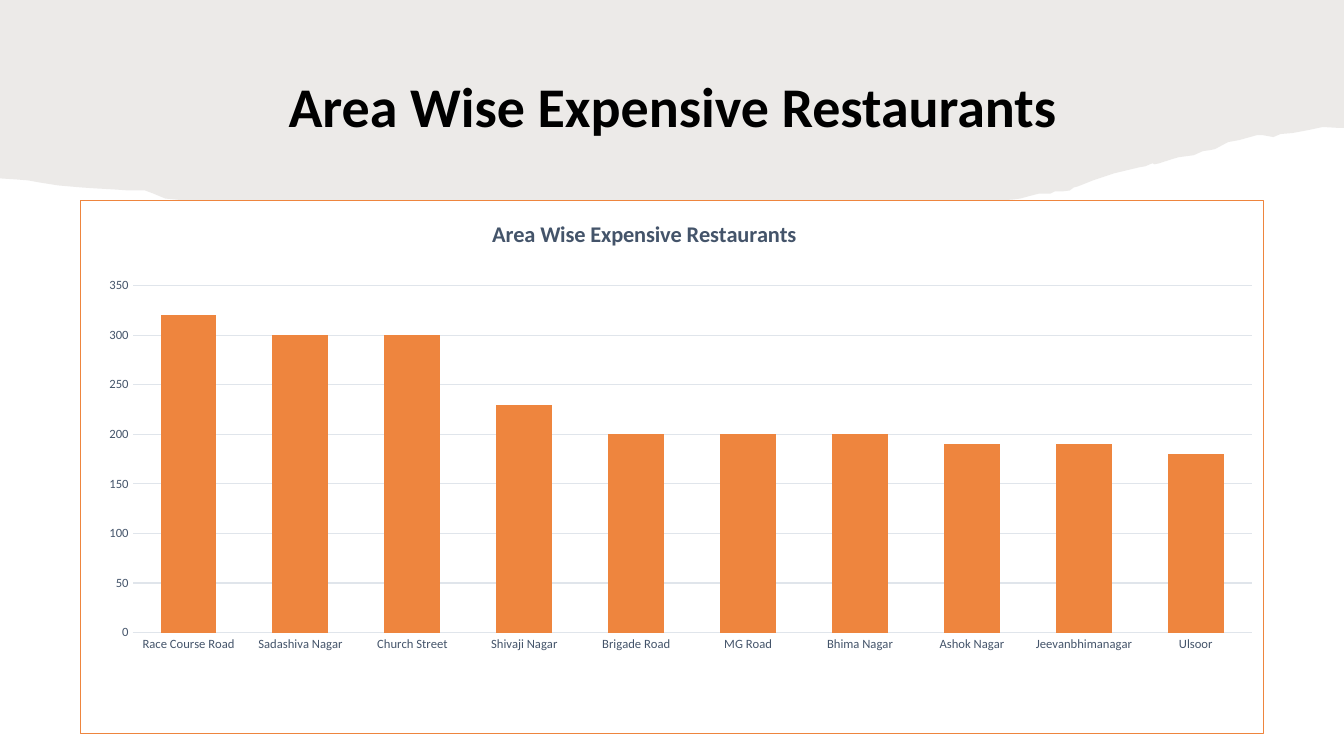
from pptx import Presentation
from pptx.chart.data import CategoryChartData
from pptx.dml.color import RGBColor
from pptx.enum.chart import XL_CHART_TYPE, XL_TICK_MARK
from pptx.enum.text import MSO_ANCHOR, MSO_AUTO_SIZE, PP_ALIGN
from pptx.oxml import parse_xml
from pptx.oxml.ns import nsdecls, qn
from pptx.util import Pt

PX = 9144  # 100 px to the inch
CHART_WIDTH, CHART_HEIGHT = 1175, 530
FONT = "Calibri"
HEADING = "Area Wise Expensive Restaurants"
COLORS = {
    "paper": "82766A",
    "title": "000000",
    "chart_text": "44546A",
    "grid": "E0E5EB",
    "bar": "EE853E",
    "white": "FFFFFF",
}
PAPER_OPACITY = 15

# Torn lower edge of the paper band, from right to left
TORN_EDGE = [
    (1333, 127), (1329, 127), (1312, 126), (1298, 129), (1282, 132), (1270, 133),
    (1263, 136), (1252, 134), (1247, 134), (1229, 139), (1218, 141), (1205, 148),
    (1200, 149), (1193, 150), (1184, 154), (1169, 156), (1162, 158), (1150, 162),
    (1145, 163), (1143, 162), (1136, 165), (1130, 166), (1105, 172), (1084, 179),
    (1069, 185), (1065, 186), (1061, 189), (1053, 190), (1046, 190), (1042, 192),
    (1031, 192), (1023, 194), (1012, 197), (1004, 198), (990, 199), (970, 201),
    (944, 203), (914, 204), (899, 206), (882, 210), (869, 210), (847, 214),
    (832, 216), (815, 214), (779, 214), (755, 215), (735, 219), (718, 220),
    (691, 223), (674, 224), (665, 228), (656, 226), (636, 227), (618, 224),
    (598, 221), (575, 223), (550, 222), (520, 221), (497, 220), (477, 217),
    (452, 214), (434, 211), (412, 209), (386, 206), (355, 203), (343, 205),
    (311, 209), (281, 212), (254, 212), (238, 211), (222, 208), (205, 206),
    (193, 203), (185, 199), (164, 197), (152, 192), (144, 189), (128, 189),
    (114, 188), (96, 187), (81, 186), (58, 184), (39, 181), (28, 179),
    (16, 178), (0, 177),
]

AREAS = {
    "Race Course Road": 320,
    "Sadashiva Nagar": 300,
    "Church Street": 300,
    "Shivaji Nagar": 230,
    "Brigade Road": 200,
    "MG Road": 200,
    "Bhima Nagar": 200,
    "Ashok Nagar": 190,
    "Jeevanbhimanagar": 190,
    "Ulsoor": 180,
}


def style_font(font, size, color, bold=False):
    font.name = FONT
    font.size = Pt(size)
    font.bold = bold
    font.color.rgb = RGBColor.from_string(COLORS[color])


def place_chart_part(part, index, **settings):
    """Give a chart part a manual layout, as its child at the given index."""
    for layout in part.findall(qn("c:layout")):
        part.remove(layout)
    entries = "".join(f'<c:{name} val="{value}"/>' for name, value in settings.items())
    part.insert(index, parse_xml(
        f'<c:layout {nsdecls("c")}><c:manualLayout>{entries}</c:manualLayout></c:layout>'))


presentation = Presentation()
presentation.slide_width = 1333 * PX
presentation.slide_height = 750 * PX
slide = presentation.slides.add_slide(presentation.slide_layouts[5])

# Paper band behind the title
builder = slide.shapes.build_freeform(0, 0, scale=PX)
builder.add_line_segments([(1333, 0)] + TORN_EDGE, close=True)
paper = builder.convert_to_shape()
paper.shadow.inherit = False
paper.line.fill.background()
paper.fill.solid()
paper.fill.fore_color.rgb = RGBColor.from_string(COLORS["paper"])
paper_color = paper.fill._xPr.find(".//" + qn("a:srgbClr"))
paper_color.append(parse_xml(f'<a:alpha {nsdecls("a")} val="{PAPER_OPACITY * 1000}"/>'))

# Title, in front of the paper
title = slide.shapes.title
paper._element.getparent().insert(2, paper._element)
title.left, title.top, title.width, title.height = 91 * PX, 55 * PX, 1152 * PX, 89 * PX
title_frame = title.text_frame
title_frame.text = HEADING
title_frame.word_wrap = True
title_frame.auto_size = MSO_AUTO_SIZE.NONE
title_frame.vertical_anchor = MSO_ANCHOR.BOTTOM
paragraph = title_frame.paragraphs[0]
paragraph.alignment = PP_ALIGN.CENTER
paragraph.line_spacing = 0.9
style_font(paragraph.runs[0].font, 40, "title", bold=True)

# Column chart
chart_data = CategoryChartData(number_format="0")
chart_data.categories = list(AREAS)
chart_data.add_series("Series 1", list(AREAS.values()))
chart = slide.shapes.add_chart(
    XL_CHART_TYPE.COLUMN_CLUSTERED, 79 * PX, 198 * PX,
    CHART_WIDTH * PX, CHART_HEIGHT * PX, chart_data).chart
style_font(chart.font, 10, "title")
chart.has_legend = False
chart.has_title = True
chart.chart_title.include_in_layout = False
chart_heading = chart.chart_title.text_frame
chart_heading.text = HEADING
style_font(chart_heading.paragraphs[0].runs[0].font, 16, "chart_text", bold=True)

plot = chart.plots[0]
plot.gap_width = 100
plot.overlap = -24
plot.vary_by_categories = False
bars = plot.series[0].format.fill
bars.solid()
bars.fore_color.rgb = RGBColor.from_string(COLORS["bar"])

value_axis = chart.value_axis
value_axis.minimum_scale = 0
value_axis.maximum_scale = 350
value_axis.major_unit = 50
value_axis.has_major_gridlines = True
value_axis.tick_labels.number_format = "0"
value_axis.tick_labels.number_format_is_linked = False
value_axis.format.line.fill.background()
for axis in (chart.category_axis, value_axis):
    axis.major_tick_mark = XL_TICK_MARK.NONE
    axis.minor_tick_mark = XL_TICK_MARK.NONE
    style_font(axis.tick_labels.font, 9, "chart_text")
for line in (chart.category_axis.format.line, value_axis.major_gridlines.format.line):
    line.width = Pt(0.75)
    line.color.rgb = RGBColor.from_string(COLORS["grid"])

# Chart frame and manual positions
chart_element = chart._chartSpace.find(qn("c:chart"))
chart_element.addnext(parse_xml(
    f'<c:spPr {nsdecls("c", "a")}>'
    f'<a:solidFill><a:srgbClr val="{COLORS["white"]}"/></a:solidFill>'
    f'<a:ln w="{Pt(0.75)}"><a:solidFill><a:srgbClr val="{COLORS["bar"]}"/></a:solidFill></a:ln>'
    '</c:spPr>'))
place_chart_part(chart_element.find(qn("c:title")), 1,
                 xMode="edge", yMode="edge",
                 x=405 / CHART_WIDTH, y=15 / CHART_HEIGHT)
place_chart_part(chart_element.find(qn("c:plotArea")), 0,
                 layoutTarget="inner", xMode="edge", yMode="edge",
                 x=52 / CHART_WIDTH, y=85 / CHART_HEIGHT,
                 w=1111 / CHART_WIDTH, h=345 / CHART_HEIGHT)

presentation.save("out.pptx")
